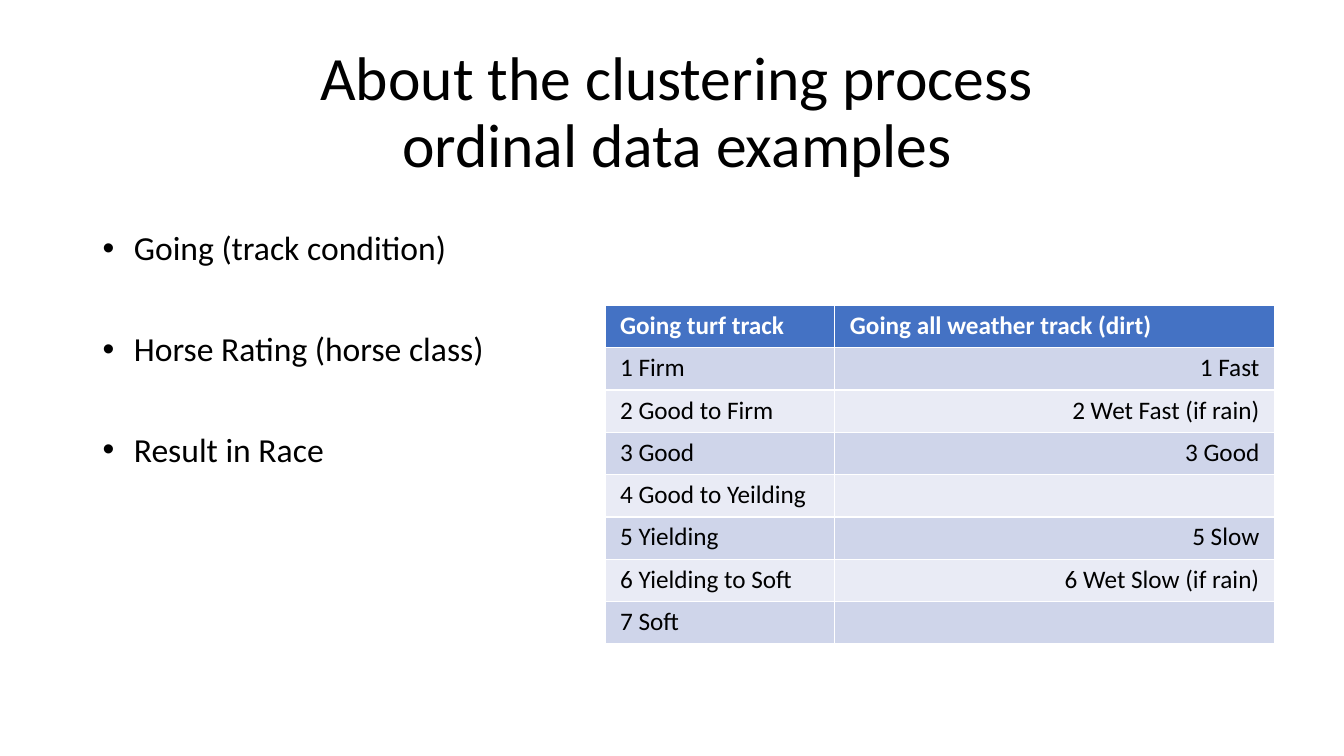
from lxml.etree import SubElement
from pptx import Presentation
from pptx.dml.color import RGBColor
from pptx.enum.text import MSO_ANCHOR, PP_ALIGN
from pptx.oxml.ns import qn
from pptx.util import Inches, Pt

COLORS = {"text": "000000", "white": "FFFFFF", "head": "4472C4",
          "odd": "CFD5EA", "even": "E9EBF5"}
TITLE = "About the clustering process\vordinal data examples"
TOPICS = ["Going (track condition)", "Horse Rating (horse class)", "Result in Race"]
GOING = [
    ("Going turf track", "Going all weather track (dirt)"),
    ("1 Firm", "1 Fast"),
    ("2 Good to Firm", "2 Wet Fast (if rain)"),
    ("3 Good", "3 Good"),
    ("4 Good to Yeilding", ""),
    ("5 Yielding", "5 Slow"),
    ("6 Yielding to Soft", "6 Wet Slow (if rain)"),
    ("7 Soft", ""),
]


class Deck:
    """Holds the text style and the current slide."""
    face = "Calibri"

    def __init__(self, wide, high):
        self.show = Presentation()
        self.show.slide_width, self.show.slide_height = Inches(wide), Inches(high)
        self.slide = self.show.slides.add_slide(self.show.slide_layouts[5])

    def style(self, para, size, color="text", bold=False, align=PP_ALIGN.LEFT):
        font = para.font
        font.name, font.size, font.bold = self.face, Pt(size), bold
        font.color.rgb = RGBColor.from_string(COLORS[color])
        para.alignment = align

    def title(self, text, left, top, width, height):
        shape = self.slide.shapes.title
        shape.left, shape.top = Inches(left), Inches(top)
        shape.width, shape.height = Inches(width), Inches(height)
        frame = shape.text_frame
        frame.text = text
        frame.vertical_anchor = MSO_ANCHOR.BOTTOM
        para = frame.paragraphs[0]
        para.line_spacing = 0.9
        self.style(para, 44, align=PP_ALIGN.CENTER)

    def bullets(self, items, left, top, width, height, gap):
        box = self.slide.shapes.add_textbox(
            Inches(left), Inches(top), Inches(width), Inches(height))
        frame = box.text_frame
        frame.word_wrap = True
        frame.text = "\n".join(items)
        for i, para in enumerate(frame.paragraphs):
            para.line_spacing = 0.9
            para.space_before = Pt(gap if i else 0)
            self.style(para, 24)
            props = para._p.get_or_add_pPr()
            props.set("marL", str(Inches(0.31)))
            props.set("indent", str(-Inches(0.31)))
            font = props.find(qn("a:defRPr"))
            mark = SubElement(props, qn("a:buFont"), typeface="Arial")
            sign = SubElement(props, qn("a:buChar"), char="•")
            font.addprevious(mark)
            font.addprevious(sign)

    def table(self, rows, left, top, widths, high):
        """Draw a banded table; body cells right of the first column align right."""
        grid = self.slide.shapes.add_table(
            len(rows), len(widths), Inches(left), Inches(top),
            Inches(sum(widths)), Inches(high * len(rows))).table
        for col, width in zip(grid.columns, widths):
            col.width = Inches(width)
        for r, row in enumerate(rows):
            fill = "odd" if r % 2 else "even" if r else "head"
            for c, text in enumerate(row):
                cell = grid.cell(r, c)
                cell.text = text
                cell.margin_left = cell.margin_right = Inches(0.15)
                cell.fill.solid()
                cell.fill.fore_color.rgb = RGBColor.from_string(COLORS[fill])
                self.style(cell.text_frame.paragraphs[0], 18,
                           "text" if r else "white", r == 0,
                           PP_ALIGN.RIGHT if r and c else PP_ALIGN.LEFT)


def main():
    deck = Deck(13.33, 7.5)
    deck.title(TITLE, 0.92, 0.31, 11.59, 1.53)
    deck.table(GOING, 6, 3.03, [2.28, 4.36], 0.42)
    deck.bullets(TOPICS, 0.92, 2.25, 4.3, 4.17, 46)
    deck.show.save("out.pptx")


if __name__ == "__main__":
    main()
